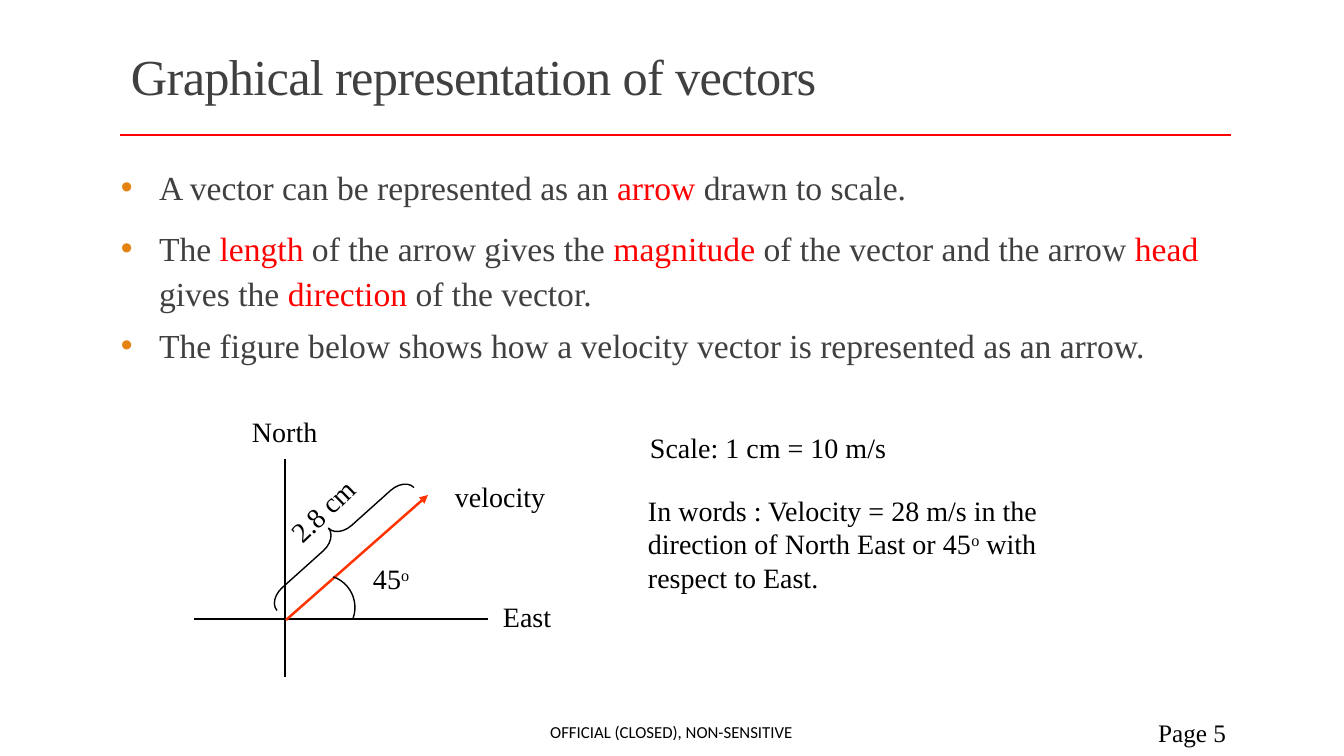
from dataclasses import dataclass
from typing import Any

from lxml.etree import SubElement
from pptx import Presentation
from pptx.dml.color import RGBColor
from pptx.enum.shapes import MSO_AUTO_SHAPE_TYPE as Preset, MSO_CONNECTOR as Connector
from pptx.enum.text import MSO_ANCHOR as Anchor, MSO_AUTO_SIZE as AutoSize, PP_ALIGN as Align
from pptx.oxml.ns import qn
from pptx.util import Emu, Pt

PX_PER_INCH = 100.8


def px(n: int) -> Emu:
    return Emu(round(n * 914400 / PX_PER_INCH))


@dataclass(frozen=True)
class Theme:
    serif: str = "Times New Roman"
    sans: str = "Calibri"
    grey: str = "404040"
    black: str = "000000"
    red: str = "FF0000"
    arrow: str = "FF3300"
    bullet: str = "E48312"
    title: int = 36
    body: int = 24
    label: int = 20
    page: int = 18
    footer: int = 12


THEME = Theme()


@dataclass(frozen=True)
class Box:
    x: int
    y: int
    w: int
    h: int

    def emu(self) -> tuple[Emu, ...]:
        return tuple(px(n) for n in (self.x, self.y, self.w, self.h))


@dataclass(frozen=True)
class Span:
    text: str
    color: str = THEME.black
    raised: bool = False


@dataclass(frozen=True)
class Label:
    box: Box
    spans: tuple[Span, ...]
    rotation: float = 0
    size: int = THEME.label
    font: str = THEME.serif
    insets: tuple[int, int] = (2, 1)
    anchor: Any = Anchor.TOP
    align: Any = Align.LEFT


@dataclass(frozen=True)
class Line:
    start: tuple[int, int]
    end: tuple[int, int]
    color: str = THEME.black
    width: float = 1
    arrow: bool = False


@dataclass(frozen=True)
class Curve:
    preset: Any
    box: Box
    rotation: float
    adjustments: tuple[float, ...] = ()


def grey(text: str) -> Span:
    return Span(text, THEME.grey)


def red(text: str) -> Span:
    return Span(text, THEME.red)


TITLE_BOX = Box(121, 31, 1109, 99)
BODY_BOX = Box(121, 158, 1111, 516)
HANGING = 38
BULLETS = (
    (grey("A vector can be represented as an "), red("arrow"), grey(" drawn to scale.")),
    (grey("The "), red("length"), grey(" of the arrow gives the "), red("magnitude"),
     grey(" of the vector and the arrow "), red("head "), grey("gives the "),
     red("direction"), grey(" of the vector.")),
    (grey("The figure below shows how a velocity vector is represented as an arrow."),),
)
DEGREE = Span("o", raised=True)
LABELS = (
    Label(Box(646, 492, 394, 131),
          (Span("In words : Velocity = 28 m/s in the direction of North East or 45"),
           DEGREE, Span(" with respect to East."))),
    Label(Box(648, 429, 249, 49), (Span("Scale: 1 cm = 10 m/s"),)),
    Label(Box(250, 414, 77, 43), (Span("North"),)),
    Label(Box(501, 599, 77, 43), (Span("East"),)),
    Label(Box(371, 561, 61, 49), (Span("45"), DEGREE)),
    Label(Box(286, 489, 85, 49), (Span("2.8 cm"),), rotation=315.9),
    Label(Box(453, 478, 142, 81), (Span("velocity"),)),
    Label(Box(1092, 712, 144, 40), (Span("Page 5"),), size=THEME.page,
          insets=(10, 5), anchor=Anchor.MIDDLE, align=Align.RIGHT),
    Label(Box(406, 712, 531, 40), (Span("OFFICIAL (CLOSED), NON-SENSITIVE"),),
          size=THEME.footer, font=THEME.sans, insets=(10, 5),
          anchor=Anchor.MIDDLE, align=Align.CENTER),
)
LINES = (
    Line((120, 135), (1231, 135), THEME.red, 2),
    Line((194, 619), (488, 619)),
    Line((285, 459), (285, 677)),
    Line((286, 620), (428, 495), THEME.arrow, 1.75, arrow=True),
)
CURVES = (
    Curve(Preset.ARC, Box(290, 575, 65, 65), 19.6),
    Curve(Preset.LEFT_BRACE, Box(323, 447, 27, 184), 48.1, (0.709, 0.493)),
)


def apply(target: Any, values: dict[str, Any]) -> None:
    for name, value in values.items():
        setattr(target, name, value)


def format_frame(tf: Any, insets: tuple[int, int], anchor: Any) -> None:
    side, top = (px(n) for n in insets)
    apply(tf, dict(word_wrap=True, auto_size=AutoSize.NONE, vertical_anchor=anchor,
                   margin_left=side, margin_right=side, margin_top=top, margin_bottom=top))


def add_spans(p: Any, spans: tuple[Span, ...], size: int, font: str) -> None:
    for span in spans:
        r = p.add_run()
        r.text = span.text
        apply(r.font, dict(name=font, size=Pt(size)))
        r.font.color.rgb = RGBColor.from_string(span.color)
        if span.raised:
            r.font._element.set("baseline", "30000")


def add_title(slide: Any) -> None:
    sp = slide.shapes.title
    apply(sp, dict(zip(("left", "top", "width", "height"), TITLE_BOX.emu())))
    format_frame(sp.text_frame, (10, 5), Anchor.MIDDLE)
    p = sp.text_frame.paragraphs[0]
    apply(p, dict(alignment=Align.LEFT, line_spacing=0.85))
    add_spans(p, (grey("Graphical representation of vectors"),), THEME.title, THEME.serif)
    p.runs[0].font._element.set("spc", "-50")


def add_bullet(p: Any) -> None:
    pPr = p._p.get_or_add_pPr()
    pPr.set("marL", str(px(HANGING)))
    pPr.set("indent", str(-px(HANGING)))
    color = SubElement(pPr, qn("a:buClr"))
    SubElement(color, qn("a:srgbClr"), val=THEME.bullet)
    SubElement(pPr, qn("a:buFont"), typeface="Arial")
    SubElement(pPr, qn("a:buChar"), char="•")


def add_body(slide: Any) -> None:
    tf = slide.shapes.add_textbox(*BODY_BOX.emu()).text_frame
    format_frame(tf, (0, 5), Anchor.TOP)
    for i, spans in enumerate(BULLETS):
        p = tf.add_paragraph() if i else tf.paragraphs[0]
        add_bullet(p)
        apply(p, dict(line_spacing=1.1, space_before=Pt(6 if i else 0),
                      space_after=Pt(0 if i else 6)))
        add_spans(p, spans, THEME.body, THEME.serif)


def add_label(slide: Any, label: Label) -> None:
    sp = slide.shapes.add_textbox(*label.box.emu())
    sp.rotation = label.rotation
    format_frame(sp.text_frame, label.insets, label.anchor)
    p = sp.text_frame.paragraphs[0]
    p.alignment = label.align
    add_spans(p, label.spans, label.size, label.font)


def set_stroke(sp: Any, color: str, width: float) -> None:
    sp.line.color.rgb = RGBColor.from_string(color)
    sp.line.width = Pt(width)


def add_line(slide: Any, line: Line) -> None:
    ends = (px(n) for n in line.start + line.end)
    sp = slide.shapes.add_connector(Connector.STRAIGHT, *ends)
    set_stroke(sp, line.color, line.width)
    if line.arrow:
        SubElement(sp.line._get_or_add_ln(), qn("a:tailEnd"), type="triangle")
    SubElement(sp._element.spPr, qn("a:effectLst"))


def add_curve(slide: Any, curve: Curve) -> None:
    sp = slide.shapes.add_shape(curve.preset, *curve.box.emu())
    sp.rotation = curve.rotation
    for i, value in enumerate(curve.adjustments):
        sp.adjustments[i] = value
    sp.fill.background()
    set_stroke(sp, THEME.black, 1)
    sp.shadow.inherit = False


def main() -> None:
    prs = Presentation()
    apply(prs, dict(slide_width=px(1344), slide_height=px(756)))
    slide = prs.slides.add_slide(prs.slide_layouts.get_by_name("Title Only"))
    add_title(slide)
    add_body(slide)
    for draw, items in ((add_line, LINES), (add_curve, CURVES), (add_label, LABELS)):
        for item in items:
            draw(slide, item)
    prs.save("out.pptx")


if __name__ == "__main__":
    main()
